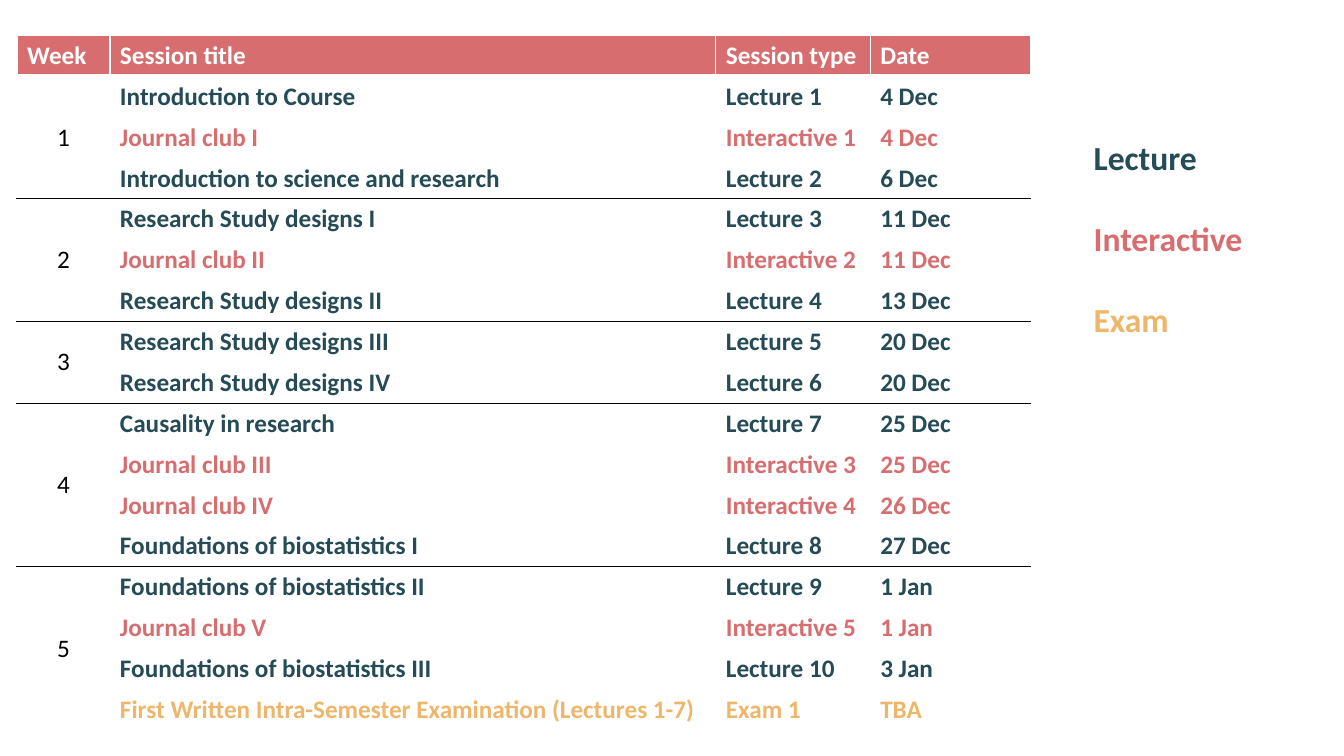
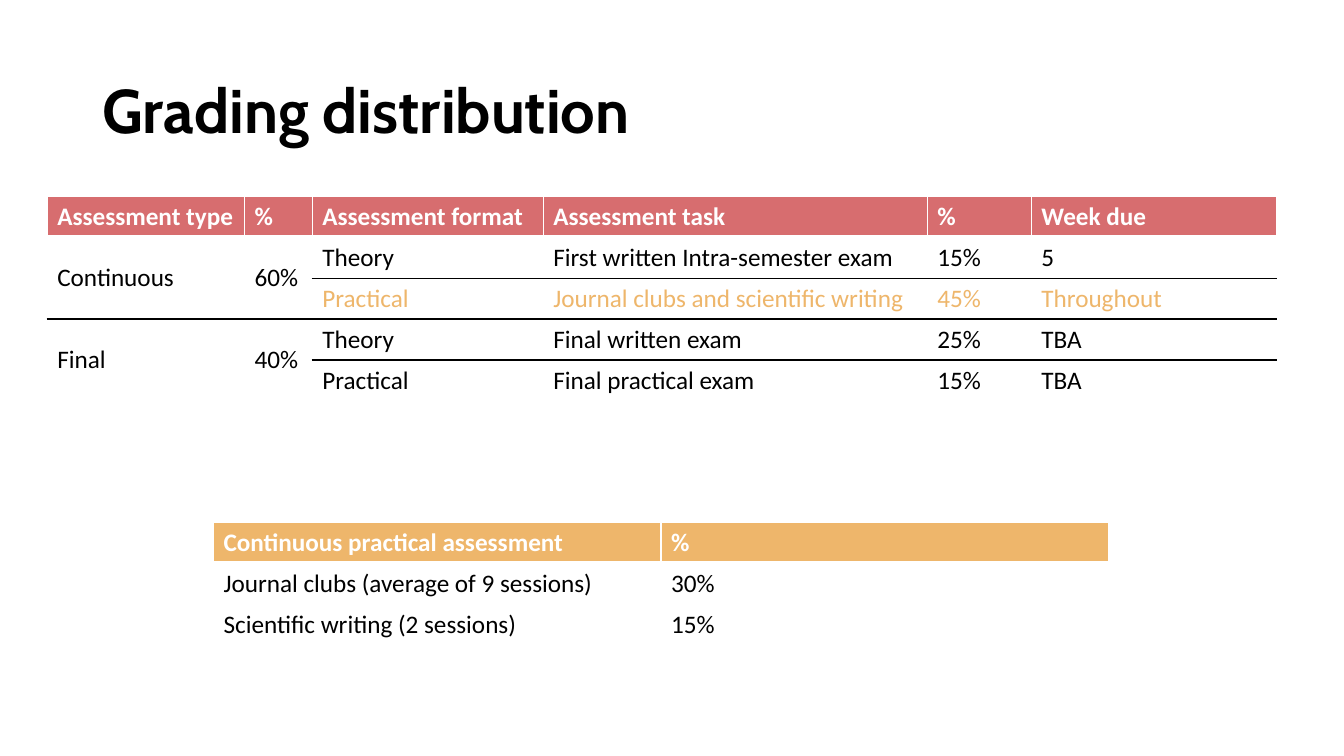
import lxml.etree
import pptx
import pptx.dml.color
import pptx.enum.text
import pptx.oxml.ns
import pptx.util

Cm = pptx.util.Cm
Pt = pptx.util.Pt
ALIGN = pptx.enum.text.PP_ALIGN
MIDDLE = pptx.enum.text.MSO_ANCHOR.MIDDLE

COLOURS = {
    "lecture": "254B56",
    "interactive": "D76D6F",
    "exam": "EEB66B",
    "text": "000000",
    "white": "FFFFFF",
}
BODY_FONT = "Calibri"
TITLE_FONT = "Cabin"
ROW_HEIGHT = 1.03

# Each week: lead cells, then its sessions
SCHEDULE = [
    (["1"], [
        ["Introduction to Course", "Lecture 1", "4 Dec"],
        ["Journal club I", "Interactive 1", "4 Dec"],
        ["Introduction to science and research", "Lecture 2", "6 Dec"],
    ]),
    (["2"], [
        ["Research Study designs I", "Lecture 3", "11 Dec"],
        ["Journal club II", "Interactive 2", "11 Dec"],
        ["Research Study designs II", "Lecture 4", "13 Dec"],
    ]),
    (["3"], [
        ["Research Study designs III", "Lecture 5", "20 Dec"],
        ["Research Study designs IV", "Lecture 6", "20 Dec"],
    ]),
    (["4"], [
        ["Causality in research", "Lecture 7", "25 Dec"],
        ["Journal club III", "Interactive 3", "25 Dec"],
        ["Journal club IV", "Interactive 4", "26 Dec"],
        ["Foundations of biostatistics I", "Lecture 8", "27 Dec"],
    ]),
    (["5"], [
        ["Foundations of biostatistics II", "Lecture 9", "1 Jan"],
        ["Journal club V", "Interactive 5", "1 Jan"],
        ["Foundations of biostatistics III", "Lecture 10", "3 Jan"],
        ["First Written Intra-Semester Examination (Lectures 1-7)", "Exam 1", "TBA"],
    ]),
]
GRADING = [
    (["Continuous", "60%"], [
        ["Theory", "First written Intra-semester exam", "15%", "5"],
        ["Practical", "Journal clubs and scientific writing", "45%", "Throughout"],
    ]),
    (["Final", "40%"], [
        ["Theory", "Final written exam", "25%", "TBA"],
        ["Practical", "Final practical exam", "15%", "TBA"],
    ]),
]
PRACTICAL = [
    ([], [
        ["Journal clubs (average of 9 sessions)", "30%"],
        ["Scientific writing (2 sessions)", "15%"],
    ]),
]


def session_colour(session):
    return session[1].split()[0].lower()


def grading_colour(task):
    return "exam" if "Journal clubs" in task[1] else "text"


def plain_colour(row):
    return "text"


def style_paragraph(paragraph, colour, size=18, bold=False, font=BODY_FONT):
    for run in paragraph.runs:
        run.font.name = font
        run.font.size = Pt(size)
        run.font.bold = bold
        run.font.color.rgb = pptx.dml.color.RGBColor.from_string(COLOURS[colour])


def set_borders(cell, top="white", bottom="white", bottom_width=1):
    properties = cell._tc.get_or_add_tcPr()
    edges = [("L", "white", 1), ("R", "white", 1),
             ("T", top, 1), ("B", bottom, bottom_width)]
    for position, (edge, colour, width) in enumerate(edges):
        line = lxml.etree.Element(pptx.oxml.ns.qn("a:ln" + edge), w=str(Pt(width)))
        fill = lxml.etree.SubElement(line, pptx.oxml.ns.qn("a:solidFill"))
        lxml.etree.SubElement(fill, pptx.oxml.ns.qn("a:srgbClr"), val=COLOURS[colour])
        properties.insert(position, line)


def fill_cell(cell, text, colour, bold=False, align=ALIGN.LEFT):
    cell.text_frame.text = text
    paragraph = cell.text_frame.paragraphs[0]
    paragraph.alignment = align
    style_paragraph(paragraph, colour, bold=bold)


def add_grouped_table(slide, left, top, widths, header, header_colour, groups,
                      row_colour, bold=False, lead_align=ALIGN.LEFT, rule_rows=False):
    """Table whose lead columns span each group; rules part the groups."""
    row_count = 1 + sum(len(rows) for _, rows in groups)
    table = slide.shapes.add_table(
        row_count, len(widths), Cm(left), Cm(top),
        Cm(sum(widths)), Cm(ROW_HEIGHT * row_count)).table
    table.horz_banding = False
    for column, width in zip(table.columns, widths):
        column.width = Cm(width)
    for row in table.rows:
        row.height = Cm(ROW_HEIGHT)

    # Header
    for column, label in enumerate(header):
        cell = table.cell(0, column)
        fill_cell(cell, label, "white", bold=True)
        cell.fill.solid()
        cell.fill.fore_color.rgb = pptx.dml.color.RGBColor.from_string(
            COLOURS[header_colour])
        set_borders(cell, bottom_width=3)

    # Groups
    first = 1
    for leads, rows in groups:
        last = first + len(rows) - 1
        group_top = "text" if first > 1 else "white"
        group_bottom = "text" if last < row_count - 1 else "white"
        inner = "text" if rule_rows else "white"
        for index, row in enumerate(rows, first):
            for column in range(len(widths)):
                cell = table.cell(index, column)
                cell.fill.background()
                cell.vertical_anchor = MIDDLE
                if column < len(leads):
                    set_borders(cell, group_top, group_bottom)
                else:
                    fill_cell(cell, row[column - len(leads)], row_colour(row), bold)
                    set_borders(cell, group_top if index == first else inner,
                                group_bottom if index == last else inner)
        for column, lead in enumerate(leads):
            cell = table.cell(first, column)
            cell.merge(table.cell(last, column))
            fill_cell(cell, lead, "text", align=lead_align)
        first = last + 1


def add_text(slide, left, top, width, height):
    frame = slide.shapes.add_textbox(Cm(left), Cm(top), Cm(width), Cm(height)).text_frame
    frame.word_wrap = True
    return frame


def add_title(slide, text, left, top, width, height):
    frame = add_text(slide, left, top, width, height)
    frame.vertical_anchor = MIDDLE
    frame.text = text
    frame.paragraphs[0].line_spacing = 0.9
    style_paragraph(frame.paragraphs[0], "text", 44, True, TITLE_FONT)


def add_legend(slide, kinds, left, top, width, height):
    frame = add_text(slide, left, top, width, height)
    frame.text = "\n".join(kinds)
    for index, (kind, paragraph) in enumerate(zip(kinds, frame.paragraphs)):
        paragraph.space_before = Pt(29 if index else 0)
        style_paragraph(paragraph, kind.lower(), 24, True)


def build_schedule(slide):
    add_grouped_table(
        slide, 0.43, 0.89, [2.34, 15.27, 3.89, 4.04],
        ["Week", "Session title", "Session type", "Date"], "interactive",
        SCHEDULE, session_colour, bold=True, lead_align=ALIGN.CENTER)
    add_legend(slide, ["Lecture", "Interactive", "Exam"], 27.31, 3.33, 5.74, 5.38)


def build_grading(slide):
    add_title(slide, "Grading distribution", 2.33, 1.01, 29.21, 3.68)
    add_grouped_table(
        slide, 1.19, 4.95, [4.97, 1.71, 5.82, 9.68, 2.62, 6.17],
        ["Assessment type", "%", "Assessment format", "Assessment task", "%", "Week due"],
        "interactive", GRADING, grading_colour, rule_rows=True)
    add_grouped_table(
        slide, 5.38, 13.16, [11.28, 11.28],
        ["Continuous practical assessment", "%"], "exam", PRACTICAL, plain_colour)


def main():
    deck = pptx.Presentation()
    deck.slide_width = Cm(33.87)
    deck.slide_height = Cm(19.05)
    for build in (build_schedule, build_grading):
        build(deck.slides.add_slide(deck.slide_layouts[6]))
    deck.save("out.pptx")


if __name__ == "__main__":
    main()
